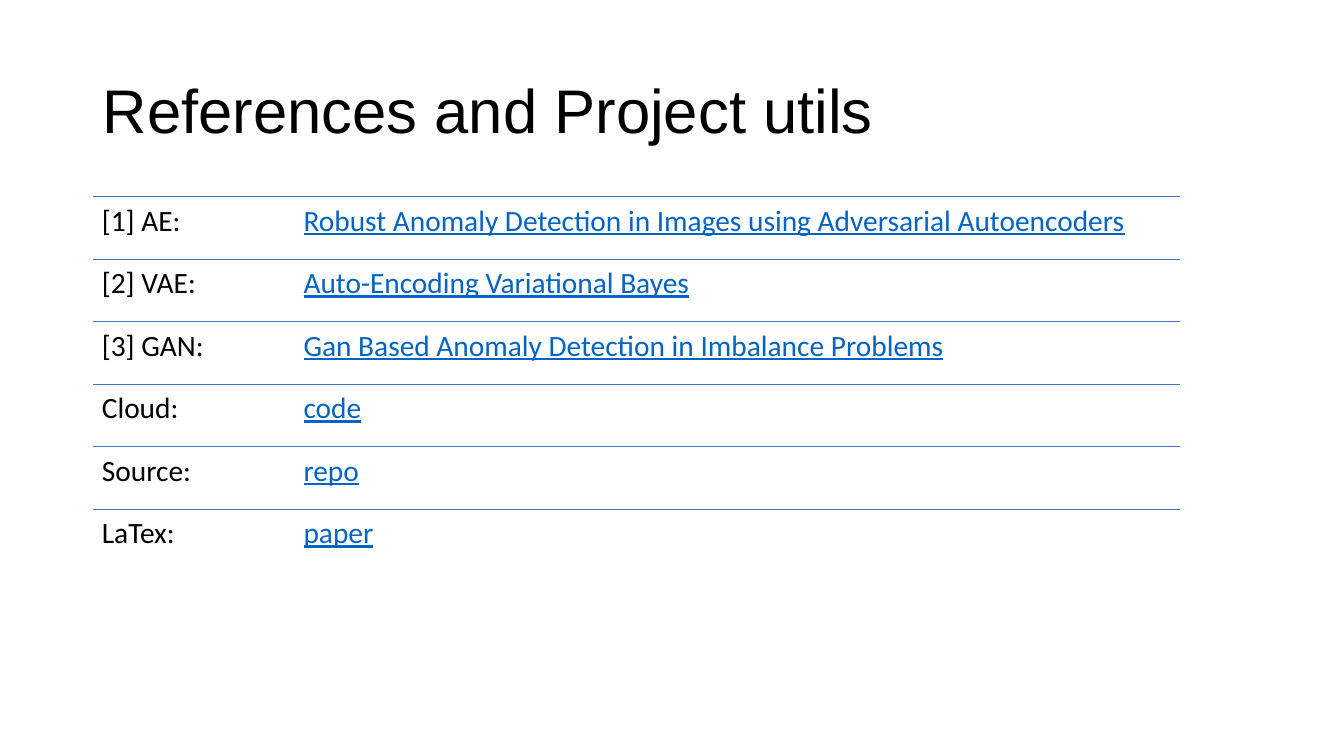
from lxml.etree import SubElement as Sub
from pptx import Presentation
from pptx.dml.color import RGBColor as RGB
from pptx.enum.shapes import MSO_CONNECTOR as Link
from pptx.enum.text import MSO_ANCHOR as Anchor
from pptx.oxml.ns import qn
from pptx.util import Inches, Pt

BLACK, BLUE, RULE = "000000", "0563C1", "4472C4"
LEFT, TOP, WIDTH, PITCH, TAB = 0.92, 1.95, 10.78, 0.62, 2
ROWS = [
    ("[1] AE:", "Robust Anomaly Detection in Images using Adversarial Autoencoders"),
    ("[2] VAE:", "Auto-Encoding Variational Bayes"),
    ("[3] GAN:", "Gan Based Anomaly Detection in Imbalance Problems"),
    ("Cloud:", "code"),
    ("Source:", "repo"),
    ("LaTex:", "paper"),
]


def color(code):
    return RGB.from_string(code)


def add_box(slide, top, width, height, inset, anchor):
    """Add a text box and return its first paragraph."""
    box = slide.shapes.add_textbox(
        Inches(LEFT), Inches(top), Inches(width), Inches(height))
    frame = box.text_frame
    frame.word_wrap = True
    frame.vertical_anchor = anchor
    frame.margin_left = frame.margin_right = Inches(inset)
    frame.margin_top = frame.margin_bottom = Inches(inset)
    para = frame.paragraphs[0]
    para.line_spacing = 0.9
    return para


def add_run(para, text, size, face, code, under=False):
    run = para.add_run()
    run.text = text
    font = run.font
    font.size, font.name, font.underline = Pt(size), face, under
    font.color.rgb = color(code)


def set_tab(para, pos):
    """Give the paragraph one left tab stop, in inches."""
    tabs = Sub(para._p.get_or_add_pPr(), qn("a:tabLst"))
    Sub(tabs, qn("a:tab"), pos=str(Inches(pos)), algn="l")


def add_rule(slide, top):
    line = slide.shapes.add_connector(
        Link.STRAIGHT, Inches(LEFT), Inches(top),
        Inches(LEFT + WIDTH), Inches(top))
    line.line.color.rgb = color(RULE)
    line.line.width = Pt(0.5)
    Sub(line._element.spPr, qn("a:effectLst"))


def add_row(slide, top, label, title):
    add_rule(slide, top)
    para = add_box(slide, top, WIDTH, PITCH, 0.09, Anchor.TOP)
    set_tab(para, TAB)
    add_run(para, label + "\t", 21, "Calibri", BLACK)
    add_run(para, title, 21, "Calibri", BLUE, True)


def main():
    deck = Presentation()
    deck.slide_width, deck.slide_height = Inches(13.33), Inches(7.5)
    slide = deck.slides.add_slide(deck.slide_layouts[6])
    head = add_box(slide, 0.4, 11.5, 1.45, 0.1, Anchor.MIDDLE)
    add_run(head, "References and Project utils", 44, "Arial", BLACK)
    for i, (label, title) in enumerate(ROWS):
        add_row(slide, TOP + i * PITCH, label, title)
    deck.save("out.pptx")


if __name__ == "__main__":
    main()
